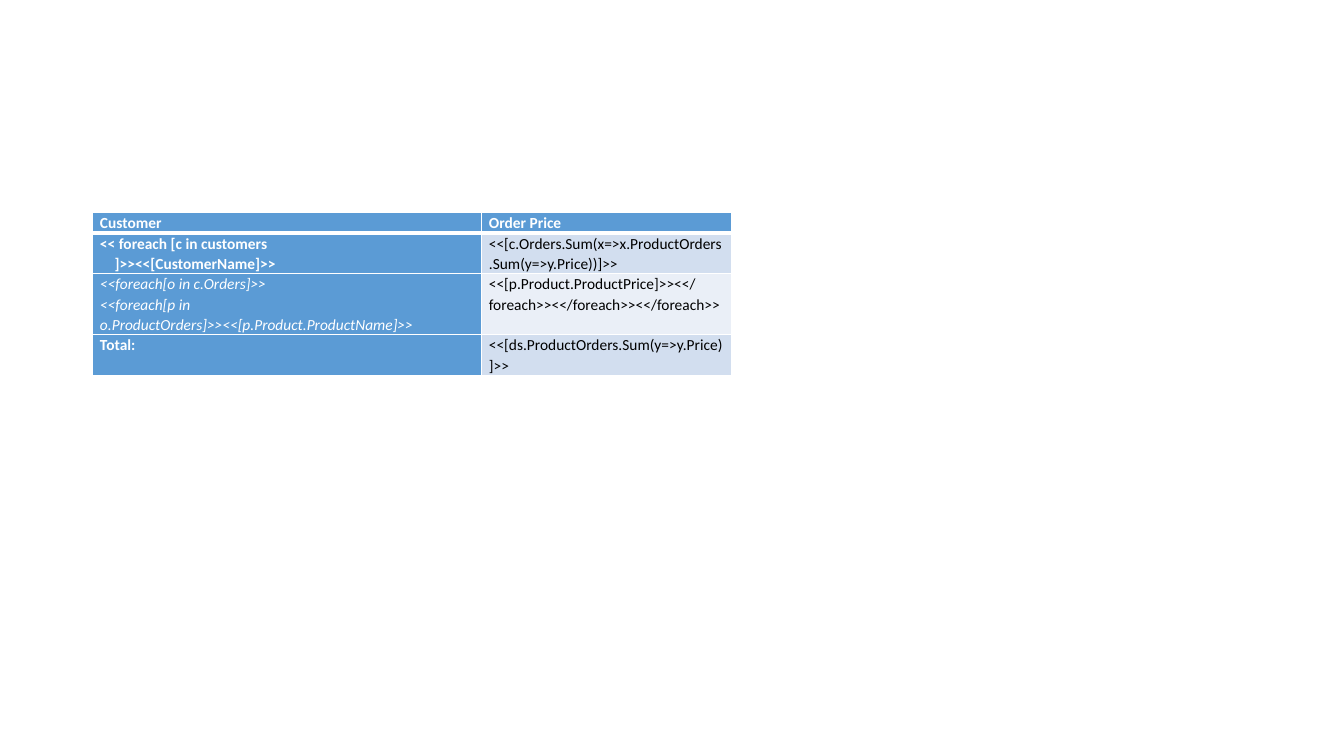
from lxml import etree
from pptx import Presentation
from pptx import util as u
from pptx.dml.color import RGBColor
from pptx.oxml.ns import qn

WHITE, BLACK = "FFFFFF", "000000"
HEADER_BLUE, BAND_DARK, BAND_LIGHT = "5B9BD5", "D2DEEF", "EAEFF7"
COLUMN_WIDTHS = (9.8, 6.3)
LINE_HEIGHT = 0.51
CONTINUATION_INDENT = 0.37

# Label lines, label style, price expression, price fill, height in text lines
ROWS = [
    (["<< foreach [c in customers", "]>><<[CustomerName]>>"], "bold",
     "<<[c.Orders.Sum(x=>x.ProductOrders.Sum(y=>y.Price))]>>", BAND_DARK, 2),
    (["<<foreach[o in c.Orders]>>",
      "<<foreach[p in o.ProductOrders]>><<[p.Product.ProductName]>>"], "italic",
     "<<[p.Product.ProductPrice]>><</foreach>><</foreach>><</foreach>>", BAND_LIGHT, 3),
    (["Total:"], "bold", "<<[ds.ProductOrders.Sum(y=>y.Price)]>>", BAND_DARK, 2),
]


def rgb(hex_colour):
    return RGBColor.from_string(hex_colour)


def set_borders(cell, widths):
    """Draw white borders; widths maps a side (L, R, T, B) to points."""
    properties = cell._tc.get_or_add_tcPr()
    for side, width in widths.items():
        line = etree.SubElement(properties, qn(f"a:ln{side}"), w=str(u.Pt(width)))
        fill = etree.SubElement(line, qn("a:solidFill"))
        etree.SubElement(fill, qn("a:srgbClr"), val=WHITE)


def write_cell(cell, lines, fill, colour, style="plain", top=1, bottom=1):
    set_borders(cell, {"L": 1, "R": 1, "T": top, "B": bottom})
    cell.fill.solid()
    cell.fill.fore_color.rgb = rgb(fill)
    cell.margin_left = cell.margin_right = u.Cm(0.18)
    cell.margin_top = cell.margin_bottom = 0
    frame = cell.text_frame
    for index, line in enumerate(lines):
        paragraph = frame.add_paragraph() if index else frame.paragraphs[0]
        paragraph.line_spacing = 1.07
        if line.startswith("]"):
            paragraph._p.get_or_add_pPr().set("marL", str(u.Cm(CONTINUATION_INDENT)))
        run = paragraph.add_run()
        run.text = line
        run.font.name = "Calibri"
        run.font.size = u.Pt(11)
        run.font.color.rgb = rgb(colour)
        run.font.bold = style == "bold"
        run.font.italic = style == "italic"


def add_order_table(slide):
    line_counts = [1] + [row[-1] for row in ROWS]
    table = slide.shapes.add_table(
        len(line_counts), len(COLUMN_WIDTHS), u.Cm(2.34), u.Cm(5.36),
        u.Cm(sum(COLUMN_WIDTHS)), u.Cm(LINE_HEIGHT * sum(line_counts))).table
    table.first_row = table.horz_banding = False
    for column, width in zip(table.columns, COLUMN_WIDTHS):
        column.width = u.Cm(width)
    for row, count in zip(table.rows, line_counts):
        row.height = u.Cm(LINE_HEIGHT * count)

    for column, heading in enumerate(("Customer", "Order Price")):
        write_cell(table.cell(0, column), [heading], HEADER_BLUE, WHITE, "bold", bottom=3)
    for number, (label, style, price, band, _) in enumerate(ROWS, start=1):
        top = 3 if number == 1 else 1
        write_cell(table.cell(number, 0), label, HEADER_BLUE, WHITE, style, top)
        write_cell(table.cell(number, 1), [price], band, BLACK, top=top)


def main():
    deck = Presentation()
    deck.slide_width, deck.slide_height = u.Cm(33.87), u.Cm(19.05)
    slide = deck.slides.add_slide(deck.slide_layouts[6])
    add_order_table(slide)
    deck.save("out.pptx")


if __name__ == "__main__":
    main()
